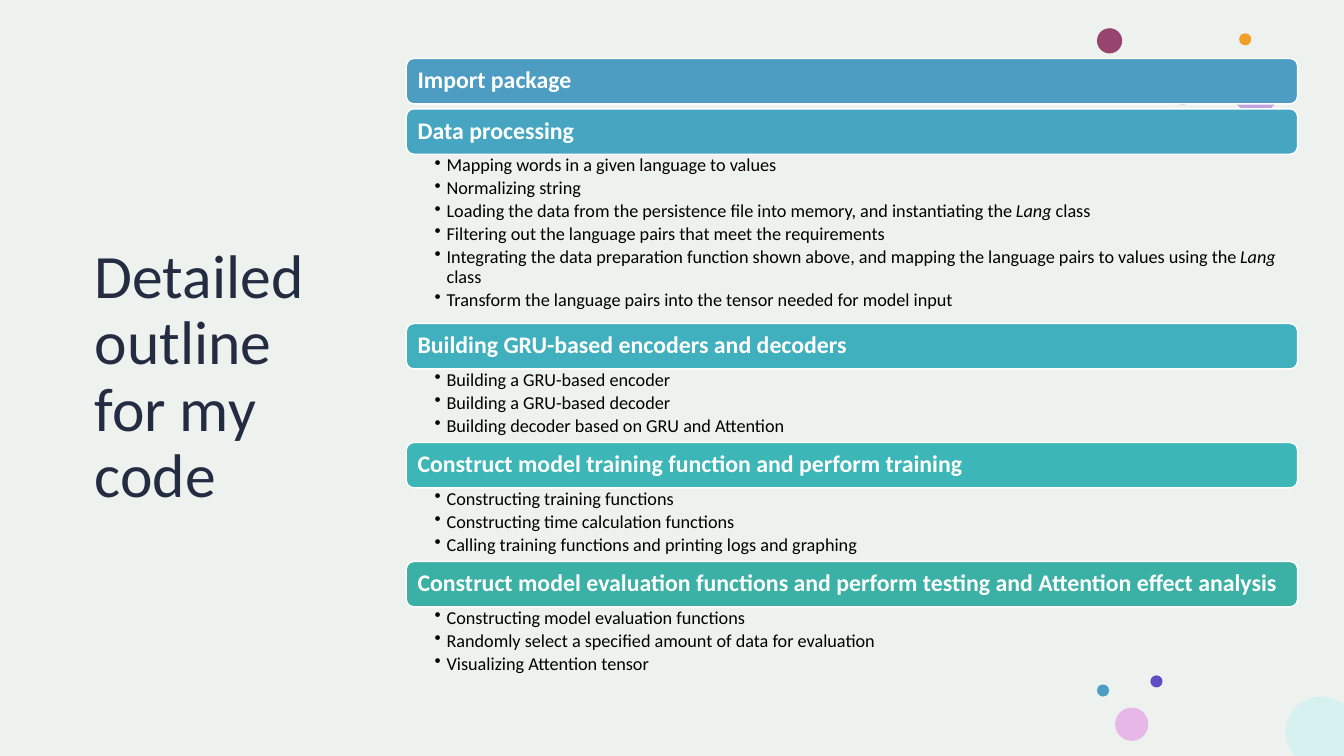
"""Build the slide that outlines the code, step by step."""
import math

from lxml import etree
from pptx import Presentation
from pptx import util as u
from pptx.dml.color import RGBColor
from pptx.enum import shapes, text
from pptx.oxml import ns

SCALE = 9144
WIDE, HIGH = 1333, 750
FONT = "Calibri"
WHITE = RGBColor(0xFF, 0xFF, 0xFF)
BLACK = RGBColor(0, 0, 0)
PAPER = RGBColor(0xEE, 0xF2, 0xEE)
NAVY = RGBColor(0x24, 0x2C, 0x41)
WINE = RGBColor(0x97, 0x44, 0x6E)
LILAC = RGBColor(0xB2, 0x84, 0xD6)
AMBER = RGBColor(0xF3, 0x9E, 0x29)
SLATE = RGBColor(0x7B, 0x8C, 0xB6)
VIOLET = RGBColor(0x5F, 0x4D, 0xC3)
PINK = RGBColor(0xE7, 0xB8, 0xE7)
BLUE = RGBColor(0x4D, 0x9D, 0xC3)
SKY = RGBColor(0x46, 0xA6, 0xC1)
AQUA = RGBColor(0x40, 0xB0, 0xBE)
TEAL = RGBColor(0x3D, 0xB6, 0xB8)
GREEN = RGBColor(0x3B, 0xB1, 0xA6)
MIST = RGBColor(0xD6, 0xF1, 0xEF)

LEFT, TOP, SPAN, BAR = 403, 58, 884, 45
DOTS = [
    (1088, 28, 25, WINE, 100),
    (1220, 61, 51, LILAC, 72),
    (1229, 33, 12, AMBER, 100),
    (1162, 82, 22, SLATE, 100),
    (1141, 670, 12, VIOLET, 100),
    (1106, 702, 33, PINK, 100),
    (1088, 679, 12, BLUE, 100),
]
STEPS = [
    ("Import package", BLUE, 5, []),
    ("Data processing", SKY, 168, [
        "Mapping words in a given language to values",
        "Normalizing string",
        "Loading the data from the persistence file into memory, and instantiating the Lang class",
        "Filtering out the language pairs that meet the requirements",
        "Integrating the data preparation function shown above, and mapping the language pairs"
        " to values using the Lang class",
        "Transform the language pairs into the tensor needed for model input",
    ]),
    ("Building GRU-based encoders and decoders", AQUA, 73, [
        "Building a GRU-based encoder",
        "Building a GRU-based decoder",
        "Building decoder based on GRU and Attention",
    ]),
    ("Construct model training function and perform training", TEAL, 73, [
        "Constructing training functions",
        "Constructing time calculation functions",
        "Calling training functions and printing logs and graphing",
    ]),
    ("Construct model evaluation functions and perform testing and Attention effect analysis",
     GREEN, 73, [
         "Constructing model evaluation functions",
         "Randomly select a specified amount of data for evaluation",
         "Visualizing Attention tensor",
     ]),
]


def px(*sizes):
    """Turn pixel lengths into EMU."""
    return [u.Emu(size * SCALE) for size in sizes]


def paint(shape, color):
    """Give a shape a plain fill with no line or shadow."""
    shape.shadow.inherit = False
    shape.fill.solid()
    shape.fill.fore_color.rgb = color
    shape.line.fill.background()


def add_dot(slide, left, top, size, color, alpha):
    """Draw a round dot, see-through when alpha is below 100."""
    dot = slide.shapes.add_shape(shapes.MSO_SHAPE.OVAL, *px(left, top, size, size))
    paint(dot, color)
    if alpha < 100:
        tint = dot.fill._xPr.find(".//" + ns.qn("a:srgbClr"))
        etree.SubElement(tint, ns.qn("a:alpha"), val=str(alpha * 1000))


def add_corner(slide, mid_x, mid_y, reach):
    """Draw a disc that is cut off by the slide's lower right edges."""
    turns = [math.radians(angle) for angle in range(0, 360, 4)]
    points = [(min(WIDE, round(mid_x + reach * math.cos(turn))),
               min(HIGH, round(mid_y + reach * math.sin(turn)))) for turn in turns]
    form = slide.shapes.build_freeform(*points[0], scale=SCALE)
    form.add_line_segments(points[1:], close=True)
    paint(form.convert_to_shape(), MIST)


def set_frame(shape, anchor, *pads):
    """Set wrap, anchor and the four insets; return the text frame."""
    frame = shape.text_frame
    frame.word_wrap = True
    frame.vertical_anchor = anchor
    (frame.margin_left, frame.margin_top,
     frame.margin_right, frame.margin_bottom) = px(*pads)
    return frame


def style(para, size, color, bold=False):
    """Set the font and line spacing of a paragraph."""
    para.alignment = text.PP_ALIGN.LEFT
    para.line_spacing = 0.9
    para.font.name = FONT
    para.font.size = u.Pt(size)
    para.font.bold = bold
    para.font.color.rgb = color


def add_title(slide, words):
    """Add the large title on the left."""
    box = slide.shapes.add_textbox(*px(84, 82, 272, 586))
    frame = set_frame(box, text.MSO_ANCHOR.MIDDLE, 10, 5, 10, 5)
    frame.text = words
    style(frame.paragraphs[0], 44, NAVY)


def add_bar(slide, top, words, color):
    """Add the rounded heading bar of one step."""
    bar = slide.shapes.add_shape(
        shapes.MSO_SHAPE.ROUNDED_RECTANGLE, *px(LEFT, top, SPAN, BAR))
    paint(bar, color)
    bar.line.color.rgb = WHITE
    bar.line.width = u.Pt(1)
    frame = set_frame(bar, text.MSO_ANCHOR.MIDDLE, 9, 7, 9, 7)
    frame.text = words
    style(frame.paragraphs[0], 17, WHITE, True)


def add_list(slide, top, height, items):
    """Add the bullet list below a bar, with the class name in italics."""
    box = slide.shapes.add_textbox(*px(LEFT, top, SPAN, height))
    frame = set_frame(box, text.MSO_ANCHOR.TOP, 28, 2, 13, 2)
    for index, item in enumerate(items):
        para = frame.add_paragraph() if index else frame.paragraphs[0]
        props = para._p.get_or_add_pPr()
        props.set("marL", str(12 * SCALE))
        props.set("indent", str(-12 * SCALE))
        etree.SubElement(props, ns.qn("a:buChar"), char="•")
        style(para, 13, BLACK)
        para.space_after = u.Pt(2.3)
        for part in filter(None, item.partition("Lang ")):
            if part == "Lang ":
                name = para.add_run()
                name.text = "Lang"
                name.font.italic = True
                part = " "
            para.add_run().text = part


def main():
    """Build and save the slide."""
    deck = Presentation()
    deck.slide_width, deck.slide_height = px(WIDE, HIGH)
    slide = deck.slides.add_slide(deck.slide_layouts[6])
    back = slide.background.fill
    back.solid()
    back.fore_color.rgb = PAPER
    add_title(slide, "Detailed outline for my code")
    for dot in DOTS:
        add_dot(slide, *dot)
    add_corner(slide, 1310, 726, 35)
    top = TOP
    for words, color, height, items in STEPS:
        add_bar(slide, top, words, color)
        if items:
            add_list(slide, top + BAR, height, items)
        top += BAR + height
    deck.save("out.pptx")


if __name__ == "__main__":
    main()
